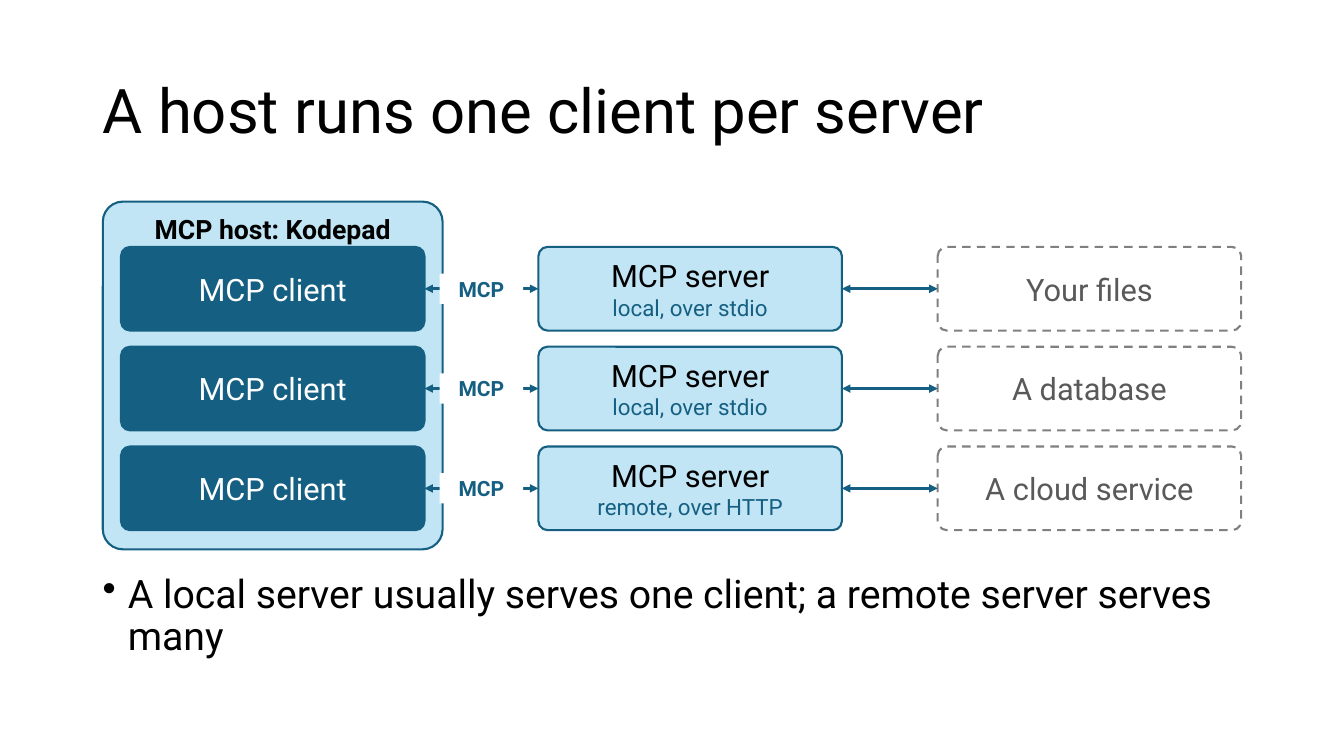
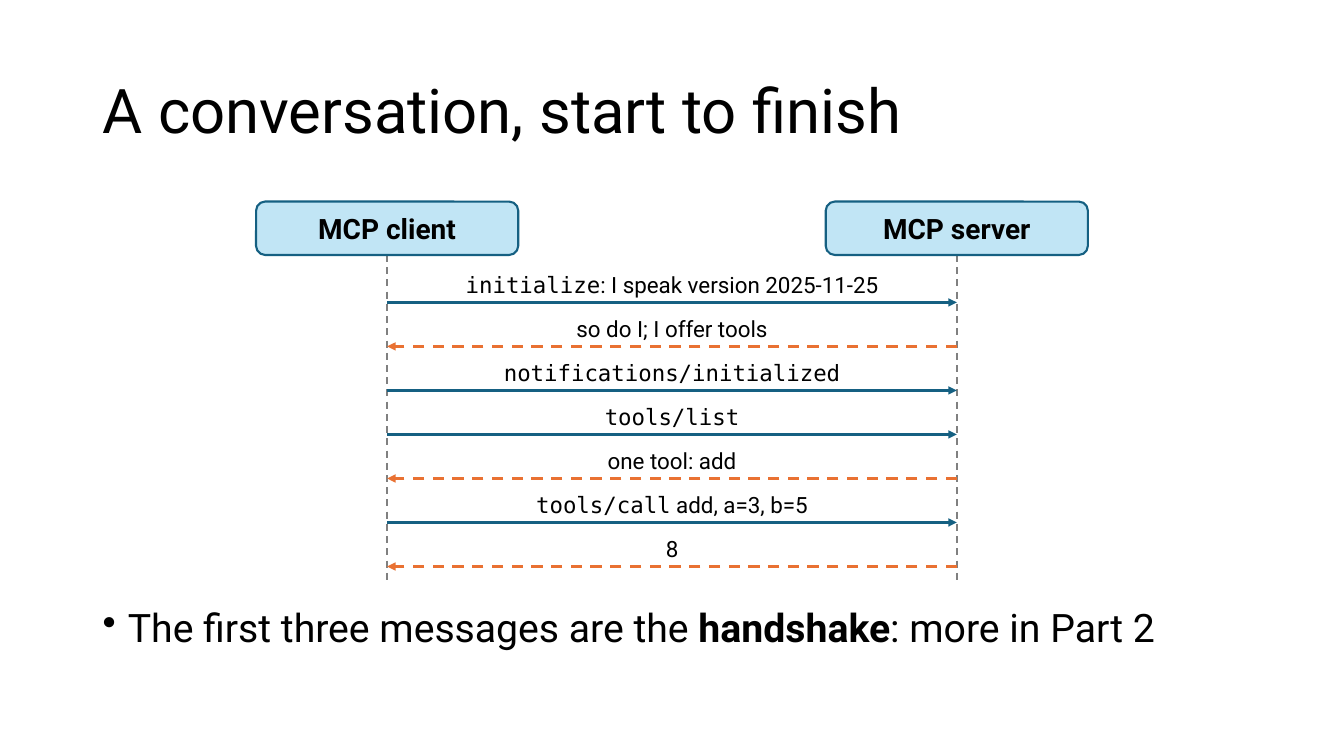
import pptx
import pptx.util
import pptx.dml.color
import pptx.enum.dml
import pptx.enum.shapes
import pptx.enum.text
import pptx.oxml.ns
import lxml.etree

Inches = pptx.util.Inches
Pt = pptx.util.Pt
RGBColor = pptx.dml.color.RGBColor
MSO_ANCHOR = pptx.enum.text.MSO_ANCHOR
PP_ALIGN = pptx.enum.text.PP_ALIGN
MSO_SHAPE = pptx.enum.shapes.MSO_SHAPE
DASH = pptx.enum.dml.MSO_LINE.DASH
qn = pptx.oxml.ns.qn

BLACK = RGBColor(0x00, 0x00, 0x00)
WHITE = RGBColor(0xFF, 0xFF, 0xFF)
BLUE = RGBColor(0x15, 0x60, 0x82)
PALE = RGBColor(0xC1, 0xE5, 0xF5)
ORANGE = RGBColor(0xE9, 0x71, 0x32)
GRAY = RGBColor(0x80, 0x80, 0x80)
DARK_GRAY = RGBColor(0x59, 0x59, 0x59)

SANS = "Roboto"
MONO = "DejaVu Sans Mono"
TITLE = {"name": SANS, "size": Pt(44)}
BODY = {"name": SANS, "size": Pt(28)}
BODY_BOLD = {**BODY, "bold": True}
HOST = {"name": SANS, "size": Pt(19), "bold": True}
NODE = {"name": SANS, "size": Pt(22)}
DETAIL = {"name": SANS, "size": Pt(16)}
CODE = {"name": MONO, "size": Pt(16)}
TAG = {"name": SANS, "size": Pt(15), "bold": True}
ACTOR = {"name": SANS, "size": Pt(20), "bold": True}

CENTER = {"alignment": PP_ALIGN.CENTER}
PROSE = {"line_spacing": 0.9}
MIDDLE = {"word_wrap": True, "vertical_anchor": MSO_ANCHOR.MIDDLE}
TOP = {"word_wrap": True, "vertical_anchor": MSO_ANCHOR.TOP}
TIGHT = {"margin_left": Inches(0.03), "margin_right": Inches(0.03),
         "margin_top": 0, "margin_bottom": 0}
LABEL = {"word_wrap": True, "vertical_anchor": MSO_ANCHOR.BOTTOM, **TIGHT}


def add_box(page, place, paragraphs, frame=MIDDLE, layout=CENTER, fill=None,
            outline=None, radius=0, dash=None, bullet=False):
    spot = [Inches(length) for length in place]
    if fill is None and outline is None:
        box = page.shapes.add_textbox(*spot)
    else:
        kind = MSO_SHAPE.ROUNDED_RECTANGLE if radius else MSO_SHAPE.RECTANGLE
        box = page.shapes.add_shape(kind, *spot)
        box.shadow.inherit = False
        if radius:
            box.adjustments[0] = radius / min(place[2:])
        if fill is None:
            box.fill.background()
        else:
            box.fill.solid()
            box.fill.fore_color.rgb = fill
        if outline is None:
            box.line.fill.background()
        else:
            box.line.color.rgb = outline
            box.line.width = Pt(1.5)
            box.line.dash_style = dash
    for name, value in frame.items():
        setattr(box.text_frame, name, value)
    for index, spans in enumerate(paragraphs):
        para = box.text_frame.add_paragraph() if index else box.text_frame.paragraphs[0]
        if bullet:
            properties = para._p.get_or_add_pPr()
            properties.set("marL", str(Inches(0.25)))
            properties.set("indent", str(Inches(-0.25)))
            lxml.etree.SubElement(properties, qn("a:buChar")).set("char", "•")
        for name, value in layout.items():
            setattr(para, name, value)
        for text, style, color in spans:
            span = para.add_run()
            span.text = text
            for name, value in style.items():
                setattr(span.font, name, value)
            span.font.color.rgb = color


def add_line(page, start, end, color, width=2, dash=None, ends=()):
    points = [Inches(length) for length in (*start, *end)]
    line = page.shapes.add_connector(pptx.enum.shapes.MSO_CONNECTOR.STRAIGHT, *points)
    line.line.color.rgb = color
    line.line.width = Pt(width)
    line.line.dash_style = dash
    for end_name in ends:
        lxml.etree.SubElement(line.get_or_add_ln(), qn(end_name)).set("type", "triangle")
    lxml.etree.SubElement(line._element.spPr, qn("a:effectLst"))


deck = pptx.Presentation()
deck.slide_width = Inches(13.33)
deck.slide_height = Inches(7.5)

outline = [
    ("A host runs one client per server", 5.65, [
        ("A local server usually serves one client; a remote server serves many", BODY, BLACK)]),
    ("A conversation, start to finish", 5.99, [
        ("The first three messages are the ", BODY, BLACK),
        ("handshake", BODY_BOLD, BLACK),
        (": more in Part 2", BODY, BLACK)]),
]
pages = []
for title, body_top, body in outline:
    page = deck.slides.add_slide(deck.slide_layouts[6])
    add_box(page, (0.92, 0.4, 11.5, 1.45), [[(title, TITLE, BLACK)]], layout=PROSE)
    add_box(page, (0.92, body_top, 11.5, 6.76 - body_top), [body], TOP, PROSE, bullet=True)
    pages.append(page)
host_page, talk_page = pages

node_width, node_height, corner = 3.01, 0.83, 0.09
client_left, server_left, target_left = 1.2, 5.34, 9.3
both_ends = ("a:headEnd", "a:tailEnd")
add_box(host_page, (1.02, 2, 3.37, 3.45), [[("MCP host: Kodepad", HOST, BLACK)]], TOP,
        fill=PALE, outline=BLUE, radius=0.2)
rows = [
    ("local, over stdio", "Your files"),
    ("local, over stdio", "A database"),
    ("remote, over HTTP", "A cloud service"),
]
for row, (transport, target) in enumerate(rows):
    top = 2.45 + 0.99 * row
    middle = top + node_height / 2
    nodes = [
        (client_left, [[("MCP client", NODE, WHITE)]], BLUE, BLUE, None),
        (server_left, [[("MCP server", NODE, BLACK)], [(transport, DETAIL, BLUE)]],
         PALE, BLUE, None),
        (target_left, [[(target, NODE, DARK_GRAY)]], None, GRAY, DASH),
    ]
    for left, paragraphs, fill, edge, dash in nodes:
        add_box(host_page, (left, top, node_width, node_height), paragraphs,
                fill=fill, outline=edge, radius=corner, dash=dash)
    for left, right in ((client_left, server_left), (server_left, target_left)):
        add_line(host_page, (left + node_width, middle), (right, middle), BLUE, ends=both_ends)
    add_box(host_page, (4.36, middle - 0.15, 0.83, 0.3), [[("MCP", TAG, BLUE)]],
            {**MIDDLE, **TIGHT}, fill=WHITE)

client_x, server_x = 3.84, 9.49
actor_width, actor_height = 2.6, 0.53
for actor, center in (("MCP client", client_x), ("MCP server", server_x)):
    add_line(talk_page, (center, 2.53), (center, 5.79), GRAY, 1.25, DASH)
    add_box(talk_page, (center - actor_width / 2, 2, actor_width, actor_height),
            [[(actor, ACTOR, BLACK)]], fill=PALE, outline=BLUE, radius=corner)

messages = [
    (True, "initialize", ": I speak version 2025-11-25"),
    (False, "", "so do I; I offer tools"),
    (True, "notifications/initialized", ""),
    (True, "tools/list", ""),
    (False, "", "one tool: add"),
    (True, "tools/call", " add, a=3, b=5"),
    (False, "", "8"),
]
message_step = 2.62 / (len(messages) - 1)
for index, (request, code, words) in enumerate(messages):
    y = 3 + message_step * index
    spans = [(text, style, BLACK) for text, style in ((code, CODE), (words, DETAIL)) if text]
    add_box(talk_page, (client_x + 0.1, y - 0.37, 5.45, 0.33), [spans], LABEL)
    start, end = (client_x, server_x) if request else (server_x, client_x)
    add_line(talk_page, (start, y), (end, y), BLUE if request else ORANGE,
             dash=None if request else DASH, ends=("a:tailEnd",))

deck.save("out.pptx")
